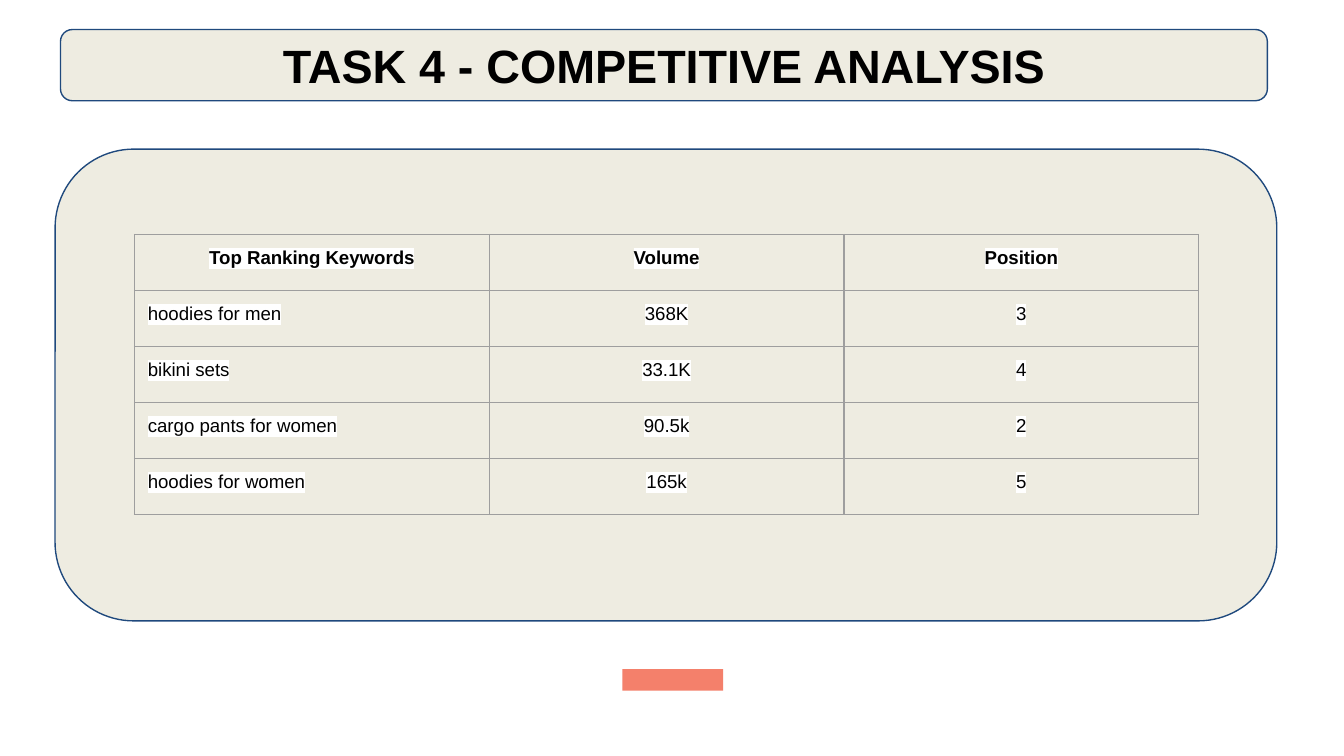
from lxml.etree import SubElement
from pptx import Presentation
from pptx.dml.color import RGBColor
from pptx.enum.shapes import MSO_SHAPE
from pptx.enum.text import MSO_ANCHOR, PP_ALIGN
from pptx.oxml import parse_xml
from pptx.oxml.ns import nsdecls, qn
from pptx.util import Inches, Pt

WHITE = RGBColor(0xFF, 0xFF, 0xFF)
BLACK = RGBColor(0x00, 0x00, 0x00)
CREAM = RGBColor(0xEE, 0xEC, 0xE1)
NAVY = RGBColor(0x1F, 0x49, 0x7D)
CORAL = RGBColor(0xF4, 0x80, 0x6B)
GREY = RGBColor(0x9E, 0x9E, 0x9E)

TITLE = "TASK 4 - COMPETITIVE ANALYSIS"
KEYWORDS = [
    ("Top Ranking Keywords", "Volume", "Position"),
    ("hoodies for men", "368K", "3"),
    ("bikini sets", "33.1K", "4"),
    ("cargo pants for women", "90.5k", "2"),
    ("hoodies for women", "165k", "5"),
]


class Deck:
    """Draws styled elements on the current slide, on a grid of tenths of an inch."""

    font = "Arial"
    unit = Inches(0.1)
    inset = Inches(0.1)
    line_width = Pt(0.75)

    def __init__(self, cols, rows):
        self.prs = Presentation()
        self.prs.slide_width = self.grid(cols)
        self.prs.slide_height = self.grid(rows)
        self.s = self.prs.slides.add_slide(self.prs.slide_layouts[6])

    def grid(self, n):
        return round(n * self.unit)

    def box(self, kind, x, y, w, h, fill, line=None):
        sp = self.s.shapes.add_shape(kind, *map(self.grid, (x, y, w, h)))
        sp.shadow.inherit = False
        sp.fill.solid()
        sp.fill.fore_color.rgb = fill
        if line is None:
            sp.line.fill.background()
        else:
            sp.line.color.rgb = line
            sp.line.width = self.line_width
        return sp

    def label(self, tf, text, size, bold=False, align=PP_ALIGN.CENTER):
        tf.text = text
        p = tf.paragraphs[0]
        p.alignment = align
        r = p.runs[0]
        r.font.name = self.font
        r.font.size = Pt(size)
        r.font.bold = bold
        r.font.color.rgb = BLACK
        return r

    def title(self, text, x, y, w, h):
        sp = self.box(MSO_SHAPE.ROUNDED_RECTANGLE, x, y, w, h, CREAM, NAVY)
        tf = sp.text_frame
        tf.word_wrap = True
        tf.vertical_anchor = MSO_ANCHOR.MIDDLE
        tf.margin_left = tf.margin_right = self.inset
        tf.margin_top = tf.margin_bottom = self.inset
        self.label(tf, text, 25, bold=True)

    def highlight(self, r, color):
        mark = parse_xml(
            f'<a:highlight {nsdecls("a")}><a:srgbClr val="{color}"/></a:highlight>')
        r._r.rPr.find(qn("a:solidFill")).addnext(mark)

    def borders(self, cell, color):
        tcPr = cell._tc.get_or_add_tcPr()
        for side in ("lnL", "lnR", "lnT", "lnB"):
            ln = SubElement(tcPr, qn(f"a:{side}"), w=str(int(self.line_width)))
            fill = SubElement(ln, qn("a:solidFill"))
            SubElement(fill, qn("a:srgbClr"), val=str(color))

    def table(self, data, x, y, col_width, row_height):
        n_rows, n_cols = len(data), len(data[0])
        tbl = self.s.shapes.add_table(
            n_rows, n_cols, self.grid(x), self.grid(y),
            self.grid(col_width * n_cols), self.grid(row_height * n_rows)).table
        tbl.horz_banding = False
        for i, row in enumerate(data):
            for j, text in enumerate(row):
                cell = tbl.cell(i, j)
                cell.margin_left = cell.margin_right = self.inset
                cell.margin_top = cell.margin_bottom = self.inset
                self.borders(cell, GREY)
                cell.fill.background()
                align = PP_ALIGN.LEFT if i and not j else PP_ALIGN.CENTER
                r = self.label(cell.text_frame, text, 10, bold=i == 0, align=align)
                self.highlight(r, WHITE)


def main():
    deck = Deck(100, 56.25)
    deck.box(MSO_SHAPE.RECTANGLE, 46.3, 49.8, 7.5, 1.6, CORAL)
    deck.box(MSO_SHAPE.ROUNDED_RECTANGLE, 4.1, 11.1, 90.9, 35.1, CREAM, NAVY)
    deck.title(TITLE, 4.5, 2.2, 89.8, 5.3)
    deck.table(KEYWORDS, 10, 17.45, 26.4, 4.17)
    deck.prs.save("out.pptx")


if __name__ == "__main__":
    main()
